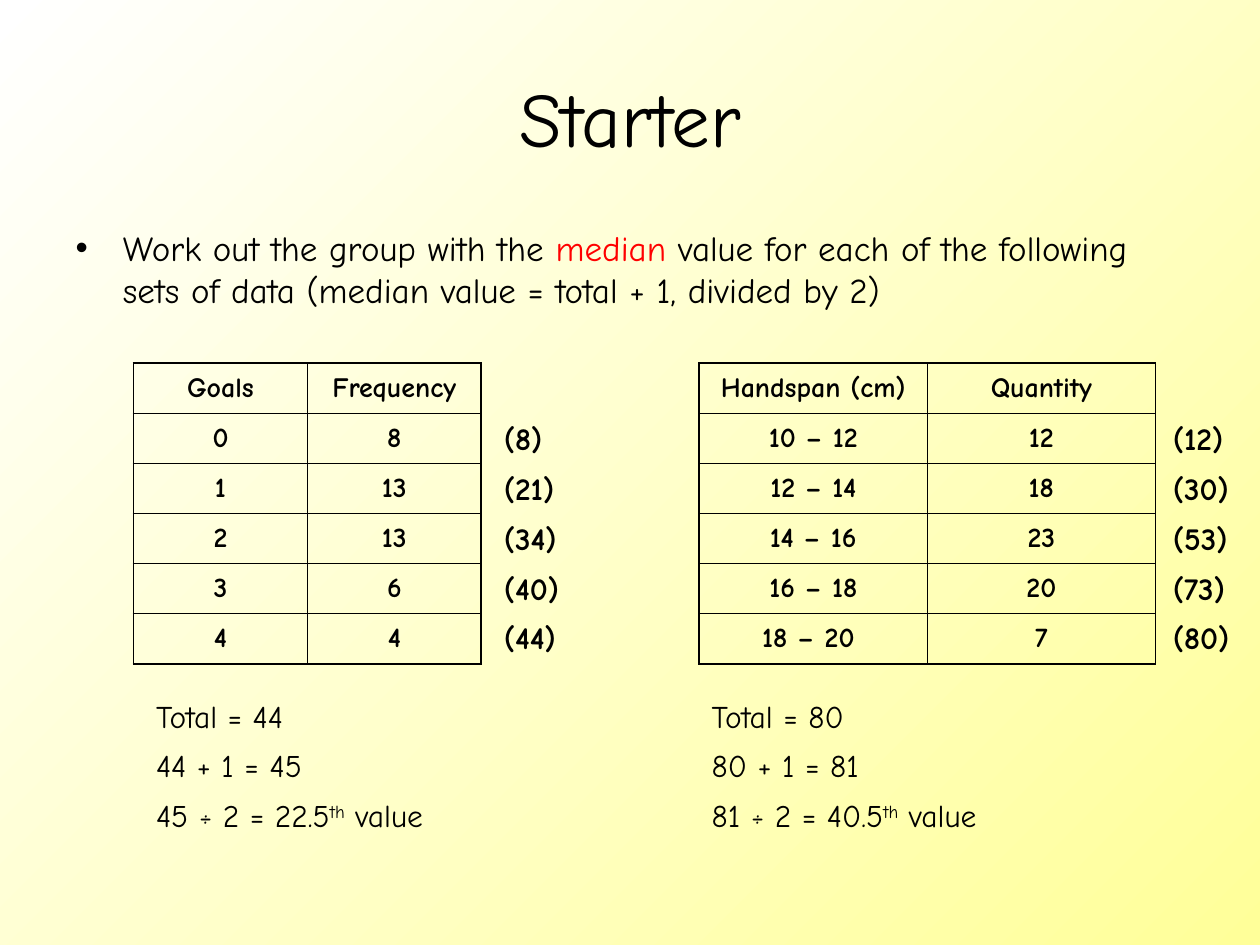
from itertools import accumulate

from lxml.etree import SubElement
from pptx import Presentation
from pptx.dml.color import RGBColor
from pptx.enum.text import MSO_ANCHOR as Anchor, PP_ALIGN as Align
from pptx.oxml.ns import qn
from pptx.util import Inches, Pt

FONT = "Comic Neue"
COLORS = {"ink": "000000", "accent": "FF0000", "light": "FFFFFF", "cream": "FFFF99"}
TABLE_TOP, TABLE_HEIGHT = 2.88, 2.39
LINE_STEP = 0.395
OUTER, INNER = Pt(1.08), Pt(0.45)

GOALS = [("Goals", "Frequency"), ("0", 8), ("1", 13), ("2", 13), ("3", 6), ("4", 4)]
HANDSPANS = [
    ("Handspan (cm)", "Quantity"),
    ("10 – 12", 12),
    ("12 – 14", 18),
    ("14 – 16", 23),
    ("16 – 18", 20),
    ("18 – 20 ", 7),
]


def color(name):
    return RGBColor.from_string(COLORS[name])


def add_span(para, text, size, bold=False, ink="ink"):
    span = para.add_run()
    span.text = text
    span.font.name = FONT
    span.font.size = Pt(size)
    span.font.bold = bold
    span.font.color.rgb = color(ink)
    return span


def place(shape, left, top, width, height):
    shape.left, shape.top = Inches(left), Inches(top)
    shape.width, shape.height = Inches(width), Inches(height)


def paint_background(page):
    fill = page.background.fill
    fill.gradient()
    fill.gradient_angle = 315
    for stop, name in zip(fill.gradient_stops, ("light", "cream")):
        stop.color.rgb = color(name)


def fill_title(page):
    title = page.shapes.title
    place(title, 0.5, 0.3, 9, 1.25)
    para = title.text_frame.paragraphs[0]
    para.alignment = Align.CENTER
    add_span(para, "Starter", 44)


def fill_task(page):
    body = page.placeholders[1]
    place(body, 0.5, 1.75, 8.75, 4.95)
    para = body.text_frame.paragraphs[0]
    para.space_before = Pt(5)
    add_span(para, "Work out the group with the ", 20)
    add_span(para, "median", 20, ink="accent")
    add_span(para, " value for each of the following sets of data "
                   "(median value = total + 1, divided by 2)", 20)


def set_borders(cell, widths):
    properties = cell._tc.get_or_add_tcPr()
    for side, width in zip("LRTB", widths):
        line = SubElement(properties, qn(f"a:ln{side}"), w=str(width))
        fill = SubElement(line, qn("a:solidFill"))
        SubElement(fill, qn("a:srgbClr"), val=COLORS["ink"])


def add_frequency_table(page, rows, left, width):
    row_count, column_count = len(rows), len(rows[0])
    table = page.shapes.add_table(
        row_count, column_count, Inches(left), Inches(TABLE_TOP),
        Inches(width), Inches(TABLE_HEIGHT)).table
    table.first_row = table.horz_banding = False
    for row, values in enumerate(rows):
        for column, value in enumerate(values):
            cell = table.cell(row, column)
            edges = (column == 0, column == column_count - 1,
                     row == 0, row == row_count - 1)
            set_borders(cell, [OUTER if edge else INNER for edge in edges])
            cell.fill.background()
            cell.vertical_anchor = Anchor.MIDDLE
            para = cell.text_frame.paragraphs[0]
            para.alignment = Align.CENTER
            para.space_before = Pt(4)
            add_span(para, str(value), 16, bold=True)


def add_label(page, text, left, top, width, bold=False):
    box = page.shapes.add_textbox(Inches(left), Inches(top), Inches(width), Inches(0.4))
    box.text_frame.word_wrap = True
    para = box.text_frame.paragraphs[0]
    add_span(para, text, 18, bold)
    return para


def add_running_totals(page, rows, left):
    for index, total in enumerate(accumulate(count for _, count in rows[1:])):
        add_label(page, f"({total})", left, 3.28 + index * LINE_STEP, 0.79, bold=True)


def add_working(page, rows, left):
    total = sum(count for _, count in rows[1:])
    lines = [
        f"Total = {total}",
        f"{total} + 1 = {total + 1}",
        f"{total + 1} ÷ 2 = {(total + 1) / 2}",
    ]
    for index, text in enumerate(lines):
        para = add_label(page, text, left, 5.48 + index * LINE_STEP, 2.83)
    suffix = add_span(para, "th", 18)
    suffix.font._element.set("baseline", "30000")
    add_span(para, " value", 18)


def main():
    deck = Presentation()
    deck.slide_width, deck.slide_height = Inches(10), Inches(7.5)
    page = deck.slides.add_slide(deck.slide_layouts[1])
    paint_background(page)
    fill_title(page)
    fill_task(page)
    for rows, left, width, totals_left, working_left in (
        (GOALS, 1.06, 2.76, 3.9, 1.14),
        (HANDSPANS, 5.55, 3.62, 9.21, 5.55),
    ):
        add_frequency_table(page, rows, left, width)
        add_running_totals(page, rows, totals_left)
        add_working(page, rows, working_left)
    deck.save("out.pptx")


if __name__ == "__main__":
    main()
